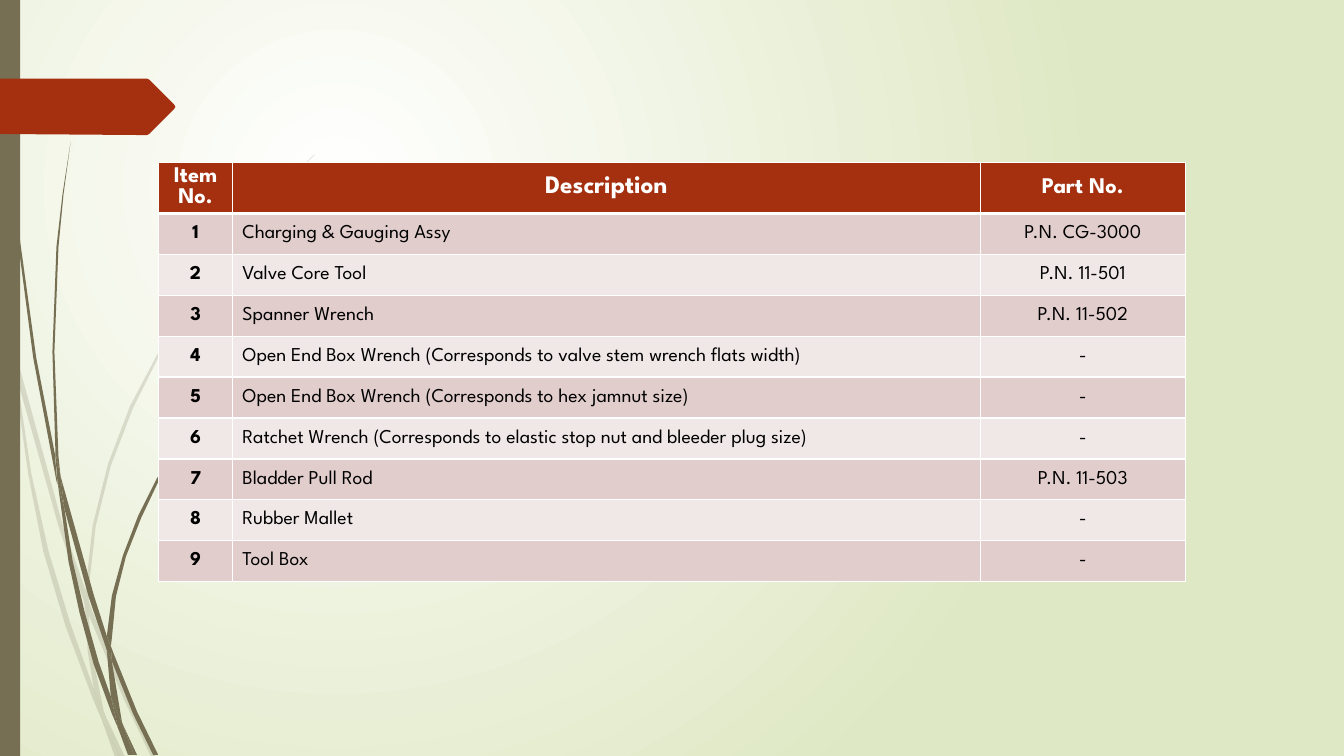
from dataclasses import dataclass

from pptx import Presentation
from pptx.dml.color import RGBColor as Color
from pptx.enum.shapes import MSO_SHAPE as Shape
from pptx.enum.text import MSO_ANCHOR as Anchor, PP_ALIGN as Align
from pptx.oxml.ns import qn
from pptx.oxml.xmlchemy import OxmlElement as Element
from pptx.util import Inches, Pt


@dataclass(frozen=True)
class Theme:
    font: str = "League Spartan"
    white: str = "FFFFFF"
    black: str = "000000"
    meadow: str = "DFE8C4"
    stem: str = "766F54"
    accent: str = "A53010"
    bands: tuple = ("E1CDCC", "F0E8E7")
    header_sizes: tuple = (16, 18, 16)
    body_size: int = 14
    pale_opacity: int = 20


THEME = Theme()
GRID_CELL = Inches(0.1)
SLIDE_COLUMNS, SLIDE_ROWS = 133.33, 75

PALE_BLADES = [
    [(1.1, 35), (0.9, 32.2), (0, 28.2), (0, 29.9), (1, 34.4)],
    [(5.8, 52.2), (8.4, 59.9), (8.5, 58.6), (6.2, 52), (1.4, 34.5), (1.7, 37.6)],
    [(9.2, 60.7), (8.8, 59.6), (8.8, 61), (12.3, 69.4), (15, 75.1), (15.5, 75.1),
     (12.7, 69.2)],
    [(11.9, 75.1), (12.4, 75.1), (10.5, 71.1)],
    [(9.3, 68.3), (7, 61.9), (4.8, 54.6), (3.1, 46.9), (1.7, 37.6), (1.1, 35),
     (2.8, 47), (4.3, 54.7), (6.5, 62.1), (9.2, 69.3), (10.1, 71.4), (9.9, 70.7)],
    [(8.4, 59.9), (8.7, 64.6), (9.3, 68.3), (9.6, 69.2), (10.5, 71.1), (10.3, 70.6),
     (9.1, 64.6), (8.8, 61), (8.8, 60.8)],
    [(8.8, 58.4), (9.5, 52.2), (11, 46.2), (13.2, 40.5), (16, 34.9), (22.9, 24.5),
     (26.8, 19.8), (31.2, 15.4), (31.2, 15.3), (26.8, 19.7), (22.8, 24.4),
     (15.8, 34.8), (12.9, 40.3), (10.7, 46.1), (9.2, 52.1), (8.5, 58.4),
     (8.5, 58.6), (8.8, 59.6)],
    [(10.1, 71.4), (11.4, 75.1), (11.9, 75.1)],
    [(8.8, 60.8), (8.8, 61), (8.8, 59.6), (8.5, 58.6), (8.4, 59.9)],
    [(9.6, 69.2), (9.3, 68.3), (9.9, 70.7), (10.1, 71.4), (11.9, 75.1), (10.5, 71.1)],
]
DARK_BLADES = [
    [(0.7, 11), (1.7, 23.3), (3.3, 35.5), (5.6, 47.7), (5.7, 48.1), (5.5, 45.7),
     (5.5, 45.3), (3.6, 35.5), (1.9, 23.2), (0.8, 10.9), (0.5, 4.8), (0.4, 0),
     (0.3, 0), (0.4, 4.8)],
    [(8.8, 59.2), (10.6, 64.5), (10.6, 63.3), (10.6, 63.1), (9.3, 59), (6, 47.2),
     (6.4, 50.5)],
    [(11.3, 64.9), (11, 64.1), (11.1, 65.6), (13.2, 70.8), (15.2, 74.9), (15.7, 74.9),
     (13.6, 70.6)],
    [(11, 69.1), (9.8, 65.7), (8.4, 60.7), (7.2, 55.6), (6.4, 50.5), (5.7, 47.7),
     (6.8, 55.7), (7.9, 60.8), (9.3, 65.9), (11.1, 70.8), (11.7, 72.2), (11.6, 71.7)],
    [(6, 47.2), (5.8, 45.3), (5.4, 34.9), (5.8, 24.5), (6.3, 19.3), (7, 14.1),
     (6.2, 19.3), (5.6, 24.5), (5.2, 34.9), (5.5, 44.9)],
    [(13.3, 74.9), (13.6, 74.9), (12.2, 71.9)],
    [(5.7, 47.7), (6.4, 50.5), (6, 47.2), (5.5, 44.9), (5.5, 45.3)],
    [(11.1, 63.3), (11.5, 59.2), (12.5, 55.2), (14, 51.4), (15.8, 47.6), (20.5, 40.6),
     (23.1, 37.4), (26.1, 34.4), (26, 34.4), (23.1, 37.3), (20.4, 40.5),
     (15.6, 47.4), (13.7, 51.2), (12.2, 55.1), (11.1, 59.1), (10.6, 63.1), (11, 64.1)],
    [(11.7, 72.2), (12.7, 74.9), (13.1, 74.9)],
    [(10.6, 64.5), (11, 69.1), (11.6, 70.6), (12.2, 71.9), (12.1, 71.6), (11.1, 65.6),
     (10.9, 65.1)],
    [(10.6, 64.5), (10.9, 65.1), (11.1, 65.6), (11, 64.1), (10.6, 63.1)],
    [(11.6, 70.6), (11, 69.1), (11.6, 71.7), (11.7, 72.2), (13, 74.9), (13.3, 74.9),
     (12.2, 71.9)],
]
TAG_OUTLINE = [(17.3, 10.8), (14.8, 13.3), (14.6, 13.4), (13.6, 13.4), (0, 13.3),
               (0, 7.8), (14.6, 7.8), (14.8, 7.9), (17.3, 10.4), (17.4, 10.6)]

TABLE_LEFT, TABLE_TOP = 15.75, 16.1
TABLE_COLUMNS = (7.3, 74.2, 20.35)
TABLE_ROW = 4.06
HEADERS = ("Item No.", "Description", "Part No.")
TOOLS = [
    ("Charging & Gauging Assy", "P.N. CG-3000"),
    ("Valve Core Tool", "P.N. 11-501"),
    ("Spanner Wrench", "P.N. 11-502"),
    ("Open End Box Wrench (Corresponds to valve stem wrench flats width)", "-"),
    ("Open End Box Wrench (Corresponds to hex jamnut size)", "-"),
    ("Ratchet Wrench (Corresponds to elastic stop nut and bleeder plug size)", "-"),
    ("Bladder Pull Rod", "P.N. 11-503"),
    ("Rubber Mallet", "-"),
    ("Tool Box", "-"),
]


def grid(cells):
    return round(cells * GRID_CELL)


def add_child(parent, tag, **attributes):
    child = Element(tag)
    for name, value in attributes.items():
        child.set(name, str(value))
    parent.append(child)
    return child


def paint(shape, color, opacity=100):
    shape.shadow.inherit = False
    shape.fill.solid()
    shape.fill.fore_color.rgb = Color.from_string(color)
    shape.line.fill.background()
    if opacity < 100:
        fill_color = shape.fill._xPr.find(".//" + qn("a:srgbClr"))
        add_child(fill_color, "a:alpha", val=opacity * 1000)


def paint_background(slide):
    fill = slide.background.fill
    fill.gradient()
    for stop, color in zip(fill.gradient_stops, (THEME.white, THEME.meadow)):
        stop.color.rgb = Color.from_string(color)
    linear = slide.element.find(".//" + qn("a:lin"))
    gradient = linear.getparent()
    gradient.remove(linear)
    circle = add_child(gradient, "a:path", path="circle")
    add_child(circle, "a:fillToRect", l=50000, t=50000, r=100000, b=100000)


def add_outline(slide, points, color, opacity=100):
    corners = [(grid(x), grid(y)) for x, y in points]
    builder = slide.shapes.build_freeform(*corners[0])
    builder.add_line_segments(corners[1:], close=True)
    paint(builder.convert_to_shape(), color, opacity)


def add_side_bar(slide):
    bar = slide.shapes.add_shape(Shape.RECTANGLE, 0, 0, grid(2), grid(SLIDE_ROWS))
    paint(bar, THEME.stem)


def add_border(cell, side, points):
    properties = cell._tc.get_or_add_tcPr()
    line = add_child(properties, f"a:ln{side}", w=Pt(points))
    add_child(add_child(line, "a:solidFill"), "a:srgbClr", val=THEME.white)


def fill_cell(cell, text, size, color, background, bold, centred, top, bottom):
    for side, points in zip("LRTB", (1, 1, top, bottom)):
        add_border(cell, side, points)
    cell.fill.solid()
    cell.fill.fore_color.rgb = Color.from_string(background)
    cell.vertical_anchor = Anchor.MIDDLE
    cell.text_frame.text = text
    paragraph = cell.text_frame.paragraphs[0]
    paragraph.alignment = Align.CENTER if centred else Align.LEFT
    font = paragraph.runs[0].font
    font.name, font.size, font.bold = THEME.font, Pt(size), bold
    font.color.rgb = Color.from_string(color)


def add_tool_table(slide):
    row_count = len(TOOLS) + 1
    table = slide.shapes.add_table(
        row_count, len(HEADERS), grid(TABLE_LEFT), grid(TABLE_TOP),
        grid(sum(TABLE_COLUMNS)), grid(TABLE_ROW * row_count),
    ).table
    for column, width in zip(table.columns, TABLE_COLUMNS):
        column.width = grid(width)
    for index, (text, size) in enumerate(zip(HEADERS, THEME.header_sizes)):
        fill_cell(table.cell(0, index), text, size, THEME.white, THEME.accent,
                  bold=True, centred=True, top=1, bottom=3)
    for number, tool in enumerate(TOOLS, start=1):
        band = THEME.bands[(number - 1) % 2]
        for index, text in enumerate((str(number), *tool)):
            fill_cell(table.cell(number, index), text, THEME.body_size, THEME.black, band,
                      bold=index == 0, centred=index != 1,
                      top=3 if number == 1 else 1, bottom=1)


def main():
    presentation = Presentation()
    presentation.slide_width = grid(SLIDE_COLUMNS)
    presentation.slide_height = grid(SLIDE_ROWS)
    slide = presentation.slides.add_slide(presentation.slide_layouts[6])
    paint_background(slide)
    for blade in PALE_BLADES:
        add_outline(slide, blade, THEME.stem, THEME.pale_opacity)
    for blade in DARK_BLADES:
        add_outline(slide, blade, THEME.stem)
    add_side_bar(slide)
    add_outline(slide, TAG_OUTLINE, THEME.accent)
    add_tool_table(slide)
    presentation.save("out.pptx")


if __name__ == "__main__":
    main()
